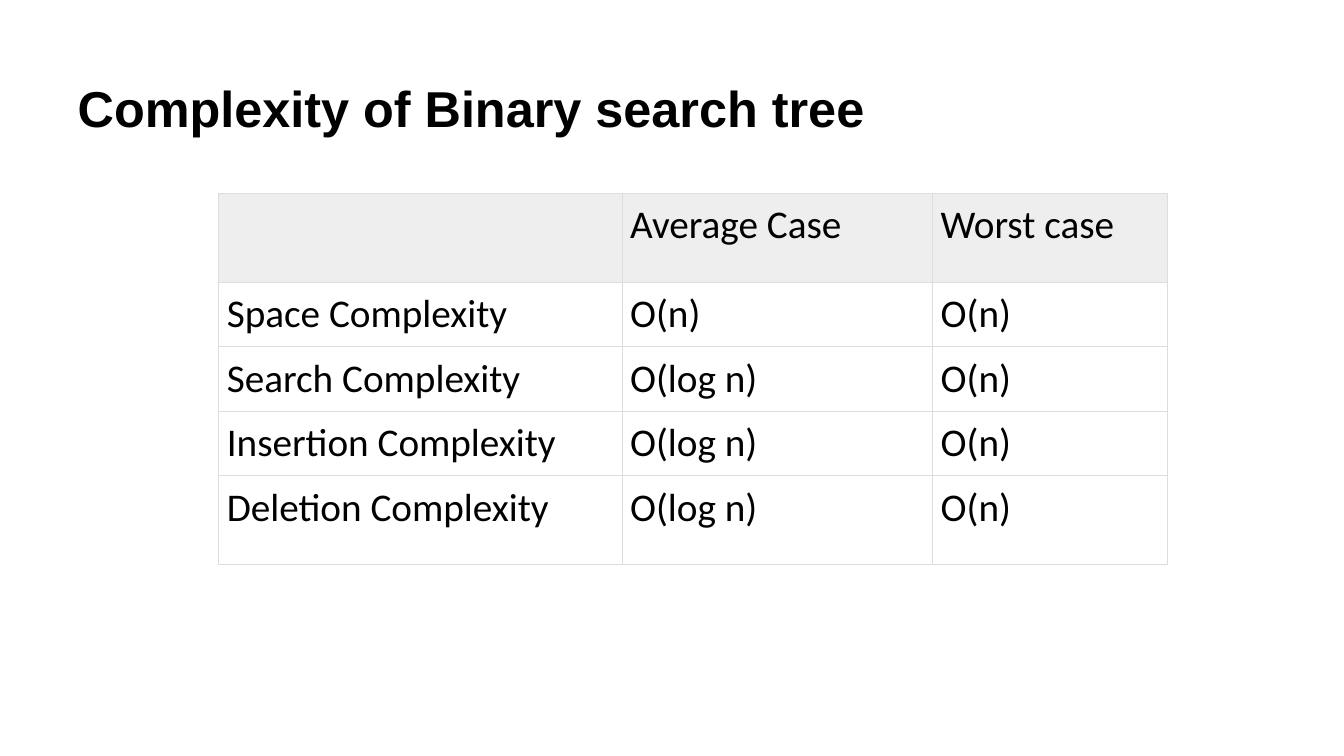
from lxml.etree import SubElement
from pptx import Presentation
from pptx.dml.color import RGBColor
from pptx.enum.text import MSO_ANCHOR as Anchor, PP_ALIGN as Align
from pptx.oxml.ns import qn
from pptx.util import Inches, Pt

ROWS = [
    ("", "Average Case", "Worst case"),
    ("Space Complexity", "O(n)", "O(n)"),
    ("Search Complexity", "O(log n)", "O(n)"),
    ("Insertion Complexity", "O(log n)", "O(n)"),
    ("Deletion Complexity", "O(log n)", "O(n)"),
]
COLUMN_WIDTHS = [4, 3.08, 2.33]
ROW_HEIGHTS = [0.88, 0.64, 0.64, 0.64, 0.88]
BORDER, HEADER_FILL, BODY_FILL = "DDDDDD", "EEEEEE", "FFFFFF"


def write(paragraph, text, **font_values):
    span = paragraph.add_run()
    span.text = text
    span.font.color.rgb = RGBColor.from_string("000000")
    for name, value in font_values.items():
        setattr(span.font, name, value)


def add_borders(cell):
    properties = cell._tc.get_or_add_tcPr()
    for position, side in enumerate(("a:lnL", "a:lnR", "a:lnT", "a:lnB")):
        line = SubElement(properties, qn(side), w=str(Pt(0.75)))
        fill = SubElement(line, qn("a:solidFill"))
        SubElement(fill, qn("a:srgbClr"), val=BORDER)
        properties.insert(position, line)  # borders must come before the fill


deck = Presentation()
deck.slide_width, deck.slide_height = Inches(13.33), Inches(7.5)
page = deck.slides.add_slide(deck.slide_layouts.get_by_name("Title Only"))

title = page.shapes.title
title.left, title.top = Inches(0.67), Inches(0.58)
title.width, title.height = Inches(12), Inches(0.97)
title.text_frame.vertical_anchor = Anchor.MIDDLE
heading = title.text_frame.paragraphs[0]
heading.alignment = Align.LEFT
write(heading, "Complexity of Binary search tree", name="Arial", size=Pt(36), bold=True)

table = page.shapes.add_table(
    len(ROWS), len(COLUMN_WIDTHS), Inches(2.17), Inches(1.92),
    Inches(sum(COLUMN_WIDTHS)), Inches(sum(ROW_HEIGHTS)),
).table
table.horz_banding = False
for column, width in zip(table.columns, COLUMN_WIDTHS):
    column.width = Inches(width)

for row_index, (row, height, texts) in enumerate(zip(table.rows, ROW_HEIGHTS, ROWS)):
    row.height = Inches(height)
    for cell, text in zip(row.cells, texts):
        for side in ("left", "right", "top", "bottom"):
            setattr(cell, f"margin_{side}", Inches(0.08))
        cell.fill.solid()
        cell.fill.fore_color.rgb = RGBColor.from_string(BODY_FILL if row_index else HEADER_FILL)
        add_borders(cell)
        if text:
            write(cell.text_frame.paragraphs[0], text, name="Calibri", size=Pt(28), bold=False)

deck.save("out.pptx")
